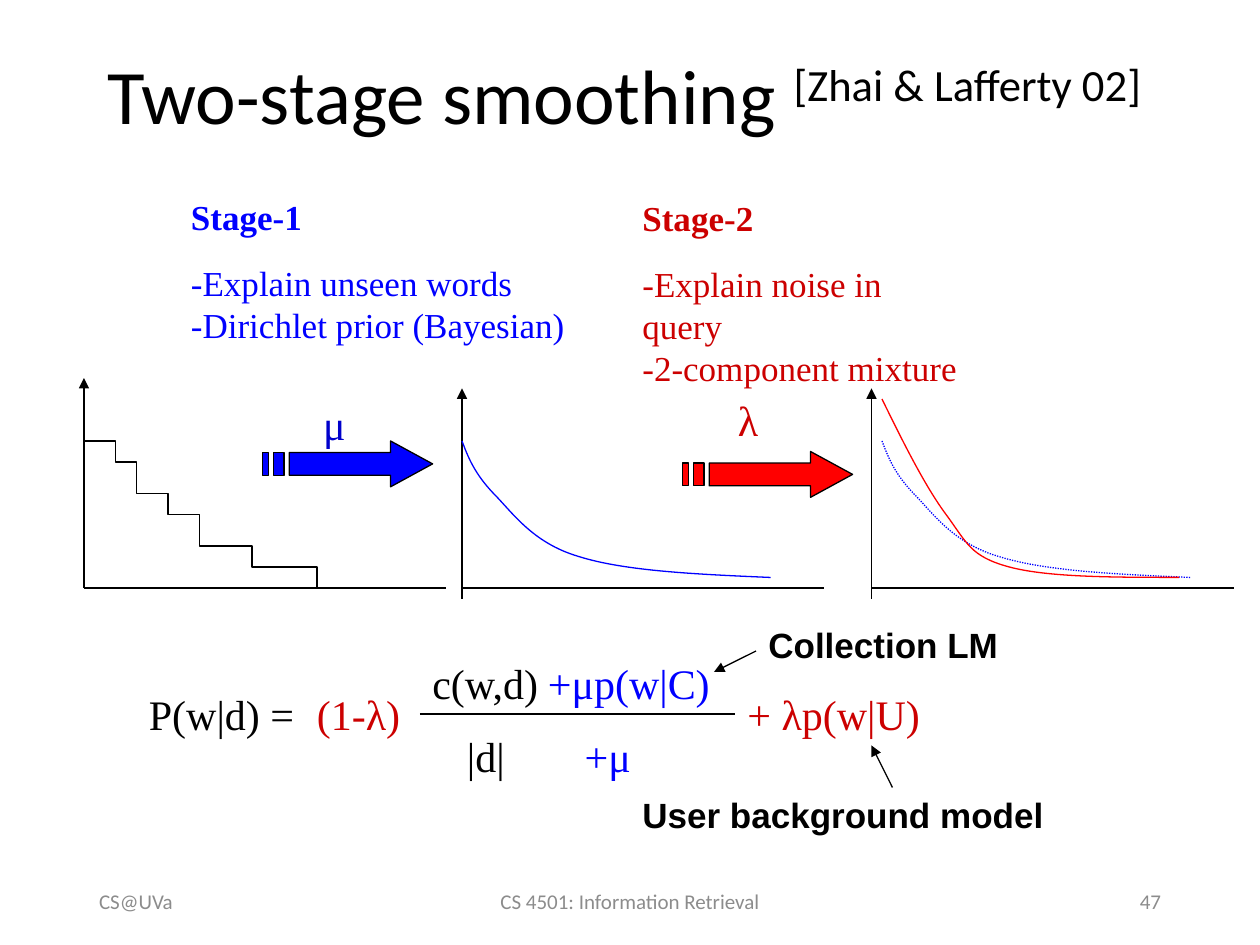
import pptx
import pptx.dml.color
import pptx.enum.dml
import pptx.enum.shapes
import pptx.enum.text
import pptx.oxml
import pptx.oxml.ns
import pptx.util

RGB = pptx.dml.color.RGBColor
ALIGN = pptx.enum.text.PP_ALIGN
MIDDLE = pptx.enum.text.MSO_ANCHOR.MIDDLE

BLACK = RGB(0, 0, 0)
GREY = RGB(0x8C, 0x8C, 0x8C)
BLUE = RGB(0, 0, 0xFF)
DARK_BLUE = RGB(0, 0, 0xCC)
RED = RGB(0xFF, 0, 0)
DARK_RED = RGB(0xCC, 0, 0)

SERIF, SANS, BODY = "Times New Roman", "Arial", "Calibri"

# The slide is a grid of 120 columns by 90 rows, so one cell is 1/12 inch.
CELL = pptx.util.Inches(1) // 12
BASE_ROW = 56
AXIS_LENGTH = 34.5

STEPS = [(3, 42), (5, 44), (8, 47), (11, 49), (16, 52), (22.2, 54), (27.3, 56)]
DIRICHLET_CURVE = [(0, 42), (0.6, 43.6), (1.2, 45.1), (3, 47), (4.8, 48.8),
                   (6.7, 51.7), (11.1, 53), (15.5, 54.4), (22.4, 54.7), (29.4, 55)]
MIXTURE_CURVE = [(0, 38), (2, 42.1), (4.1, 46.3), (6.1, 49), (8.1, 51.7),
                 (8.4, 53), (12.1, 54), (15.8, 55), (22.1, 55), (28.3, 55)]
STRIPED_ARROW = [
    [(12.2, 0), (12.2, 1.1), (2.55, 1.1), (2.55, 3.27), (12.2, 3.27),
     (12.2, 4.36), (16.2, 2.18)],
    [(1.05, 1.1), (1.05, 3.27), (2.05, 3.27), (2.05, 1.1)],
    [(0, 1.1), (0, 3.27), (0.55, 3.27), (0.55, 1.1)],
]


def grid(*lengths):
    return [round(length * CELL) for length in lengths]


def shifted(points, column, row=0):
    return [tuple(grid(x + column, y + row)) for x, y in points]


def add_run(paragraph, text, size, color, font=SERIF, bold=False):
    run = paragraph.add_run()
    run.text = text
    run.font.size = pptx.util.Pt(size)
    run.font.name = font
    run.font.bold = bold
    run.font.color.rgb = color
    return run


def add_frame(slide, box, wrap=False):
    frame = slide.shapes.add_textbox(*grid(*box)).text_frame
    frame.word_wrap = wrap
    return frame


def add_label(slide, box, text, size=24, color=BLACK, font=SERIF, bold=False):
    add_run(add_frame(slide, box).paragraphs[0], text, size, color, font, bold)


def add_stage(slide, box, heading, points, color, wrap=False):
    frame = add_frame(slide, box, wrap)
    add_run(frame.paragraphs[0], heading, 20, color, bold=True)
    for index, point in enumerate(points):
        paragraph = frame.add_paragraph()
        if index == 0:
            paragraph.space_before = pptx.util.Pt(14)
        add_run(paragraph, point, 20, color)


def add_line(slide, start, end, arrow=False):
    line = slide.shapes.add_connector(
        pptx.enum.shapes.MSO_CONNECTOR.STRAIGHT, *grid(*start, *end))
    line.line.color.rgb = BLACK
    line.line.width = pptx.util.Pt(0.75)
    if arrow:
        pptx.oxml.ns.qn("a:tailEnd")
        head = pptx.oxml.parse_xml(
            f'<a:tailEnd {pptx.oxml.ns.nsdecls("a")} type="triangle"/>')
        line.line._get_or_add_ln().append(head)
    line._element.spPr.append(
        pptx.oxml.parse_xml(f'<a:effectLst {pptx.oxml.ns.nsdecls("a")}/>'))


def add_outline(slide, contours, color=BLACK, fill=None):
    """Draw contours of EMU points; they are closed when a fill is given."""
    closed = fill is not None
    builder = slide.shapes.build_freeform(*contours[0][0])
    for index, contour in enumerate(contours):
        if index:
            builder.move_to(*contour[0])
        builder.add_line_segments(contour[1:], close=closed)
    shape = builder.convert_to_shape()
    shape.shadow.inherit = False
    if closed:
        shape.fill.solid()
        shape.fill.fore_color.rgb = fill
    else:
        shape.fill.background()
    shape.line.color.rgb = color
    shape.line.width = pptx.util.Pt(0.75)
    return shape


def add_curve(slide, points, column, color):
    """Draw a chain of cubic Béziers through a start and triples of points."""
    shape = add_outline(slide, [shifted(points, column)], color)
    segments = shape._element.findall(".//" + pptx.oxml.ns.qn("a:lnTo"))
    for first in range(0, len(segments), 3):
        bezier = pptx.oxml.parse_xml(
            f'<a:cubicBezTo {pptx.oxml.ns.nsdecls("a")}/>')
        segments[first].addprevious(bezier)
        for segment in segments[first:first + 3]:
            bezier.append(segment[0])
            segment.getparent().remove(segment)
    return shape


def add_axes(slide, column, bottom, top):
    add_line(slide, (column, BASE_ROW), (column + AXIS_LENGTH, BASE_ROW))
    add_line(slide, (column, bottom), (column, top), arrow=True)


def add_striped_arrow(slide, column, row, fill):
    add_outline(slide, [shifted(part, column, row) for part in STRIPED_ARROW],
                fill=fill)


def add_title(slide):
    title = slide.shapes.title
    title.left, title.top, title.width, title.height = grid(9, 2, 106, 15)
    frame = title.text_frame
    frame.word_wrap = True
    frame.vertical_anchor = MIDDLE
    paragraph = frame.paragraphs[0]
    paragraph.alignment = ALIGN.LEFT
    paragraph.line_spacing = 0.9
    add_run(paragraph, "Two-stage smoothing ", 44, BLACK, BODY)
    citation = add_run(paragraph, "[Zhai & Lafferty 02]", 44, BLACK, BODY)
    citation.font._element.set("baseline", "30000")


def add_plots(slide):
    add_axes(slide, 8, BASE_ROW, 36)
    stairs, level = [(0, STEPS[0][1])], STEPS[0][1]
    for x, row in STEPS:
        if row != level:
            stairs.append((stairs[-1][0], row))
        stairs.append((x, row))
        level = row
    add_outline(slide, [shifted(stairs, 8)])

    add_axes(slide, 44, 57, 37)
    add_curve(slide, DIRICHLET_CURVE, 44, BLUE)

    add_axes(slide, 83, 57, 37)
    first_stage = add_curve(slide, DIRICHLET_CURVE, 84, BLUE)
    first_stage.line.dash_style = pptx.enum.dml.MSO_LINE.ROUND_DOT
    add_curve(slide, MIXTURE_CURVE, 84, RED)

    add_striped_arrow(slide, 25, 42, BLUE)
    add_striped_arrow(slide, 65, 43, RED)
    add_label(slide, (29.6, 37.4, 4.7, 6), "μ", color=DARK_BLUE)
    add_label(slide, (69.1, 37, 4.6, 6), "λ", color=DARK_RED)


def add_formula(slide):
    add_line(slide, (40, 68), (70, 68))
    for column, row, width, text, color in [
        (13, 65, 16.2, "P(w|d) =", BLACK),
        (29, 65, 10.6, "(1-λ)", DARK_RED),
        (40, 62, 12.7, "c(w,d)", BLACK),
        (51, 62, 18, "+μp(w|C)", BLUE),
        (43.3, 69, 6, "|d|", BLACK),
        (54.5, 69, 7, "+μ", BLUE),
        (70, 65, 19.1, "+ λp(w|U)", DARK_RED),
    ]:
        add_label(slide, (column, row, width, 6), text, color=color)
    add_label(slide, (72, 58.8, 25.2, 5.2), "Collection LM", 20, font=SANS, bold=True)
    add_line(slide, (72, 62), (68, 64), arrow=True)
    model = add_frame(slide, (60, 75, 54, 5.2), wrap=True)
    add_run(model.paragraphs[0], "User background model", 20, BLACK, SANS, True)
    add_line(slide, (85, 75), (83, 71), arrow=True)


def add_footer(slide):
    for column, width, text, alignment in [
        (8.25, 27, "CS@UVa", ALIGN.LEFT),
        (39.75, 40.5, "CS 4501: Information Retrieval", ALIGN.CENTER),
        (84.75, 27, "47", ALIGN.RIGHT),
    ]:
        frame = add_frame(slide, (column, 83.4, width, 4.8), wrap=True)
        frame.vertical_anchor = MIDDLE
        frame.paragraphs[0].alignment = alignment
        add_run(frame.paragraphs[0], text, 12, GREY, BODY)


def main():
    deck = pptx.Presentation()
    deck.slide_width, deck.slide_height = grid(120, 90)
    slide = deck.slides.add_slide(deck.slide_layouts[5])
    add_title(slide)
    add_stage(slide, (17, 18, 38.3, 15.7), "Stage-1",
              ["-Explain unseen words", "-Dirichlet prior (Bayesian)"], BLUE)
    add_stage(slide, (60, 18.1, 33.6, 15.6), "Stage-2",
              ["-Explain noise in query", "-2-component mixture"], DARK_RED, wrap=True)
    add_plots(slide)
    add_formula(slide)
    add_footer(slide)
    deck.save("out.pptx")


if __name__ == "__main__":
    main()
